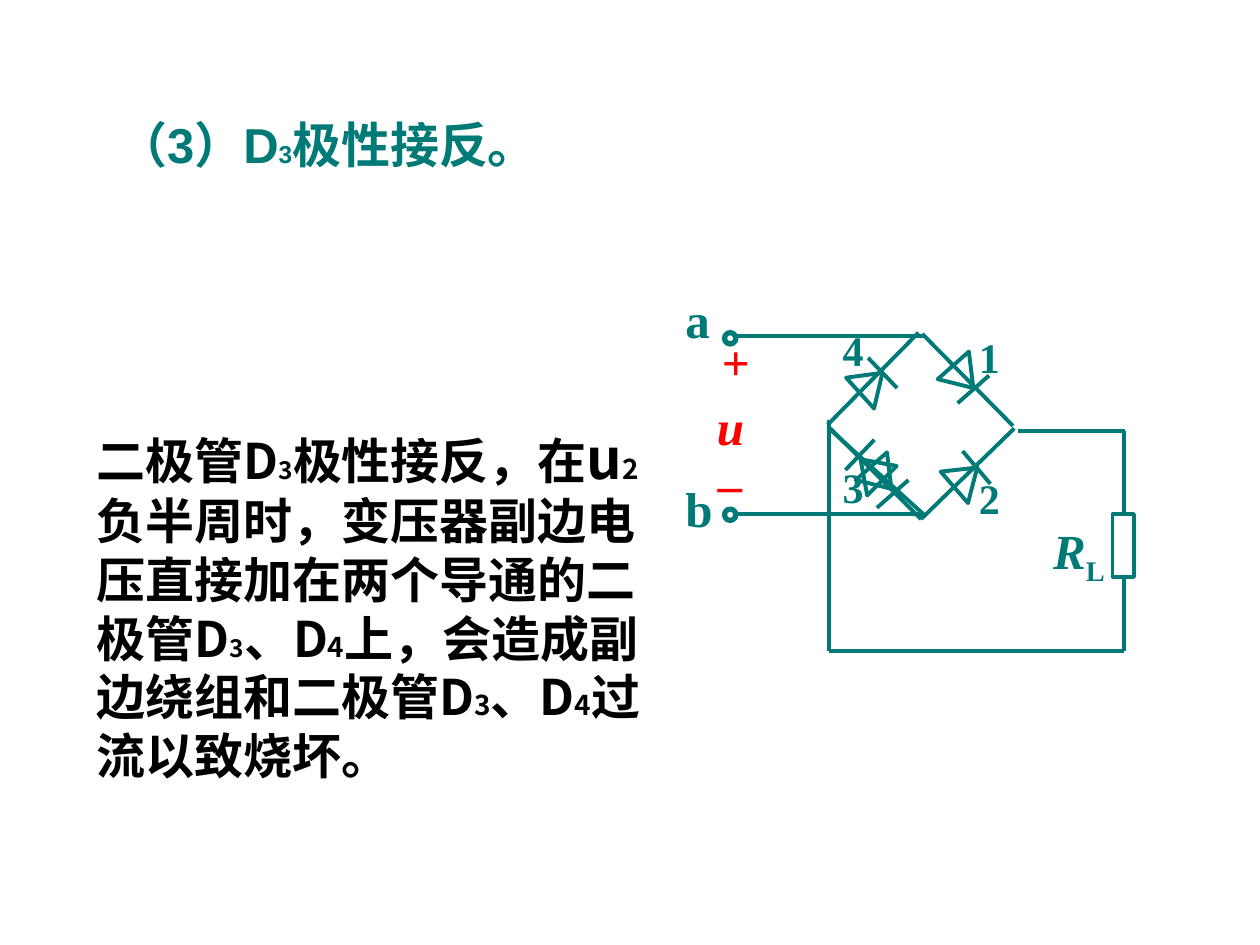
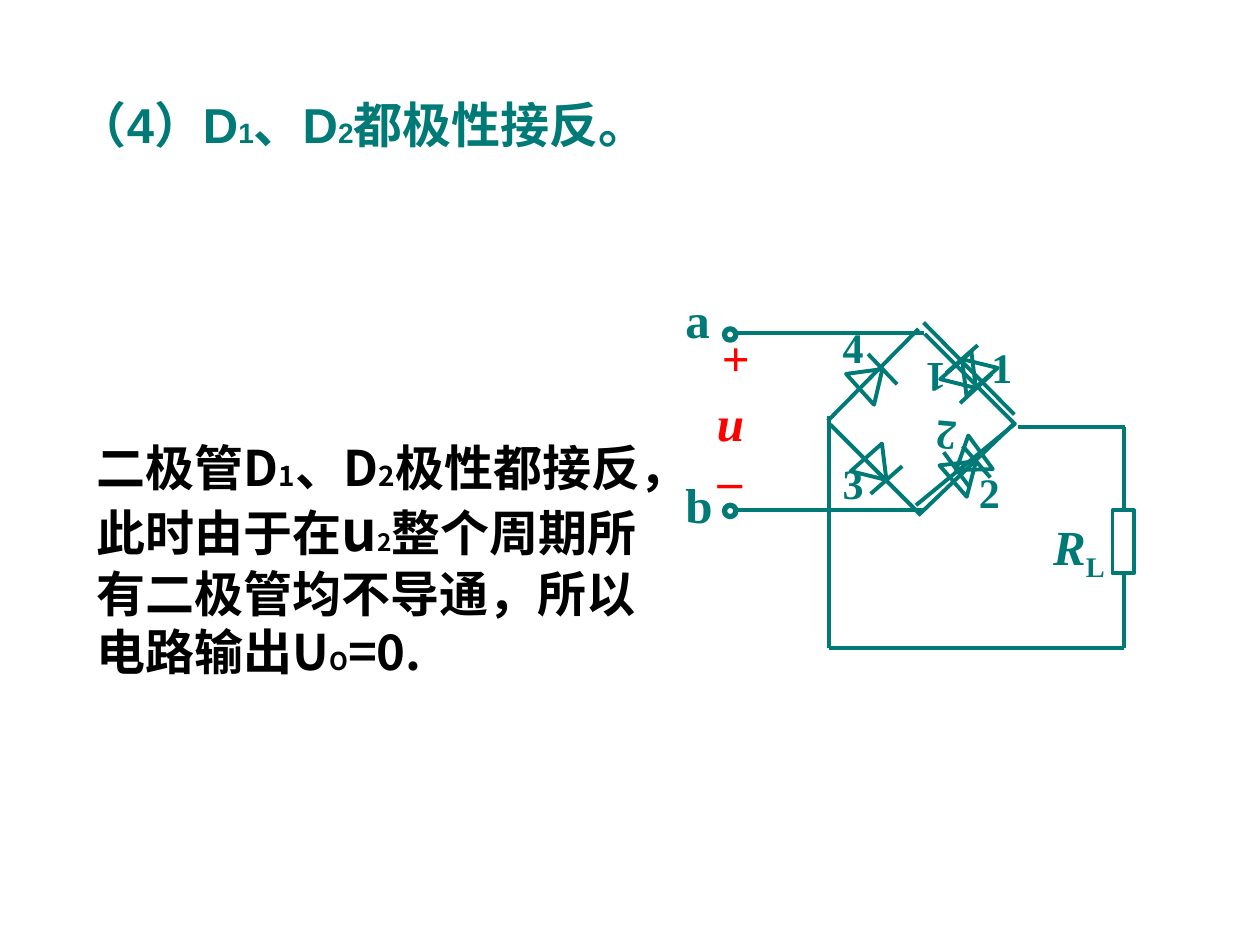
from lxml.etree import SubElement
from pptx import Presentation
from pptx.dml.color import RGBColor
from pptx.enum.shapes import MSO_CONNECTOR, MSO_SHAPE
from pptx.enum.text import MSO_AUTO_SIZE
from pptx.oxml.ns import qn
from pptx.util import Inches, Pt

TEAL, RED, BLACK = "007A77", "FF0000", "000000"
SERIF, SANS, HAN = "Times New Roman", "Arial", "Noto Sans CJK SC"

deck = Presentation()
deck.slide_width, deck.slide_height = Inches(10), Inches(7.5)
COL = deck.slide_width // 1000
ROW = deck.slide_height // 750


def ink(part, tone):
    part.color.rgb = RGBColor.from_string(tone)


def write(slide, x, y, wide, high, parts, face=SERIF, tone=TEAL, wrap=False, turn=0):
    box = slide.shapes.add_textbox(x * COL, y * ROW, wide * COL, high * ROW)
    box.rotation = turn
    frame = box.text_frame
    frame.word_wrap = wrap
    frame.auto_size = MSO_AUTO_SIZE.SHAPE_TO_FIT_TEXT
    for words, size in parts:
        run = frame.paragraphs[0].add_run()
        run.text = words
        run.font.size = Pt(size)
        run.font.bold = True
        run.font.name = face
        ink(run.font, tone)
        SubElement(run._r.get_or_add_rPr(), qn("a:ea")).set("typeface", HAN)
    return frame.paragraphs[0].runs


WIRES = [
    (733, 267, 583, 267), (583, 408, 733, 408), (658, 333, 658, 517),
    (658, 517, 892, 517), (808, 342, 893, 342), (892, 342, 892, 408),
    (892, 458, 892, 517),
]
FOUR = ((689, 284, 712, 308), (675, 292, 47.8), (657, 337, 729, 264))

pages = [
    {
        "rise": 0,
        "title": (84, 86, 385, [("（3）D", 28), ("3", 14), ("极性接反。", 28)]),
        "body": (331, 475, 297, [
            ("二极管D", 28), ("3", 14), ("极性接反，在", 28), ("u", 32), ("2", 16),
            ("负半周时，变压器副边电压直接加在两个导通的二极管D", 28), ("3", 14),
            ("、D", 28), ("4", 16), ("上，会造成副边绕组和二极管D", 28), ("3", 16),
            ("、D", 28), ("4", 16), ("过流以致烧坏。", 28)]),
        "diodes": [
            ((721, 381, 696, 403), (683, 367, 138.5), (659, 340, 731, 412)),
            ((785, 298, 760, 320), (748, 287, 138.5), (732, 265, 804, 338)),
            ((764, 358, 786, 384), (750, 367, 49.1), (731, 412, 805, 340)),
            ((671, 373, 694, 349), (675, 361, 315), (735, 410, 659, 341)),
        ],
        "marks": [("1", 767, 258, 0), ("2", 767, 370, 0)],
    },
    {
        "rise": 3,
        "title": (52, 70, 519, [("（4）D", 28), ("1", 16), ("、D", 28), ("2", 16),
                                ("都极性接反。", 28)]),
        "body": (342, 458, 204, [
            ("二极管D", 28), ("1", 16), ("、D", 28), ("2", 16),
            ("极性都接反，此时由于在", 28), ("u", 32), ("2", 14),
            ("整个周期所有二极管均不导通，所以电路输出U", 28), ("O", 14), ("=0.", 28)]),
        "diodes": [
            ((787, 297, 762, 320), (750, 287, 138.5), (734, 265, 806, 337)),
            ((769, 386, 749, 359), (752, 354, 234), (806, 336, 727, 401)),
            ((716, 370, 691, 392), (679, 360, 138.5), (659, 337, 731, 409)),
            ((751, 296, 776, 274), (755, 282, 318.5), (805, 329, 733, 256)),
            ((764, 354, 786, 379), (749, 362, 49.1), (731, 407, 805, 336)),
        ],
        "marks": [("1", 777, 266, 0), ("2", 733, 323, 184.9),
                  ("1", 725, 277, 180), ("2", 767, 365, 0)],
    },
]

for page in pages:
    slide = deck.slides.add_slide(deck.slide_layouts[6])
    rise = page["rise"]

    lines = [(wire, rise) for wire in WIRES + [FOUR[0], FOUR[2]]]
    forms = [
        (MSO_SHAPE.RECTANGLE, 883, 408 - rise, 17, 50, 0, 2.25),
        (MSO_SHAPE.OVAL, 575, 264 - rise, 9, 9, 0, 3),
        (MSO_SHAPE.OVAL, 575, 404 - rise, 9, 9, 0, 3),
    ]
    x, y, turn = FOUR[1]
    forms.append((MSO_SHAPE.ISOSCELES_TRIANGLE, x, y - rise, 33, 24, turn, 2.25))
    for bar, (x, y, turn), wire in page["diodes"]:
        lines += [(bar, 0), (wire, 0)]
        forms.append((MSO_SHAPE.ISOSCELES_TRIANGLE, x, y, 33, 24, turn, 2.25))

    for (x, y, end, base), lift in lines:
        link = slide.shapes.add_connector(
            MSO_CONNECTOR.STRAIGHT, x * COL, (y - lift) * ROW, end * COL, (base - lift) * ROW)
        link.line.width = Pt(2.25)
        ink(link.line, TEAL)
        SubElement(link._element.spPr, qn("a:effectLst"))

    for kind, x, y, wide, high, turn, pen in forms:
        form = slide.shapes.add_shape(kind, x * COL, y * ROW, wide * COL, high * ROW)
        form.rotation = turn
        form.shadow.inherit = False
        form.fill.background()
        form.line.width = Pt(pen)
        ink(form.line, TEAL)

    for mark, x, y, turn in page["marks"] + [("3", 659, 361 - rise, 0), ("4", 659, 253 - rise, 0)]:
        write(slide, x, y, 36, 50, [(mark, 24)], turn=turn)
    write(slide, 534, 225, 39, 57, [("a", 28)])
    write(slide, 534, 375 - rise, 41, 57, [("b", 28)])
    write(slide, 563, 258 - rise, 42, 57, [("+", 28)], tone=RED)
    write(slide, 550, 355 - rise, 49, 57, [(" –", 28)], tone=RED)
    volt = write(slide, 559, 310 - rise, 41, 57, [("u", 28)], tone=RED)
    volt[0].font.italic = True
    load = write(slide, 826, 408 - rise, 61, 63, [("R", 28), ("L", 28)])
    load[0].font.italic = True
    load[1]._r.get_or_add_rPr().set("baseline", "-25000")

    x, y, wide, parts = page["title"]
    write(slide, x, y, wide, 57, parts, SANS)
    y, wide, high, parts = page["body"]
    write(slide, 67, y, wide, high, parts, HAN, BLACK, True)

deck.save("out.pptx")
